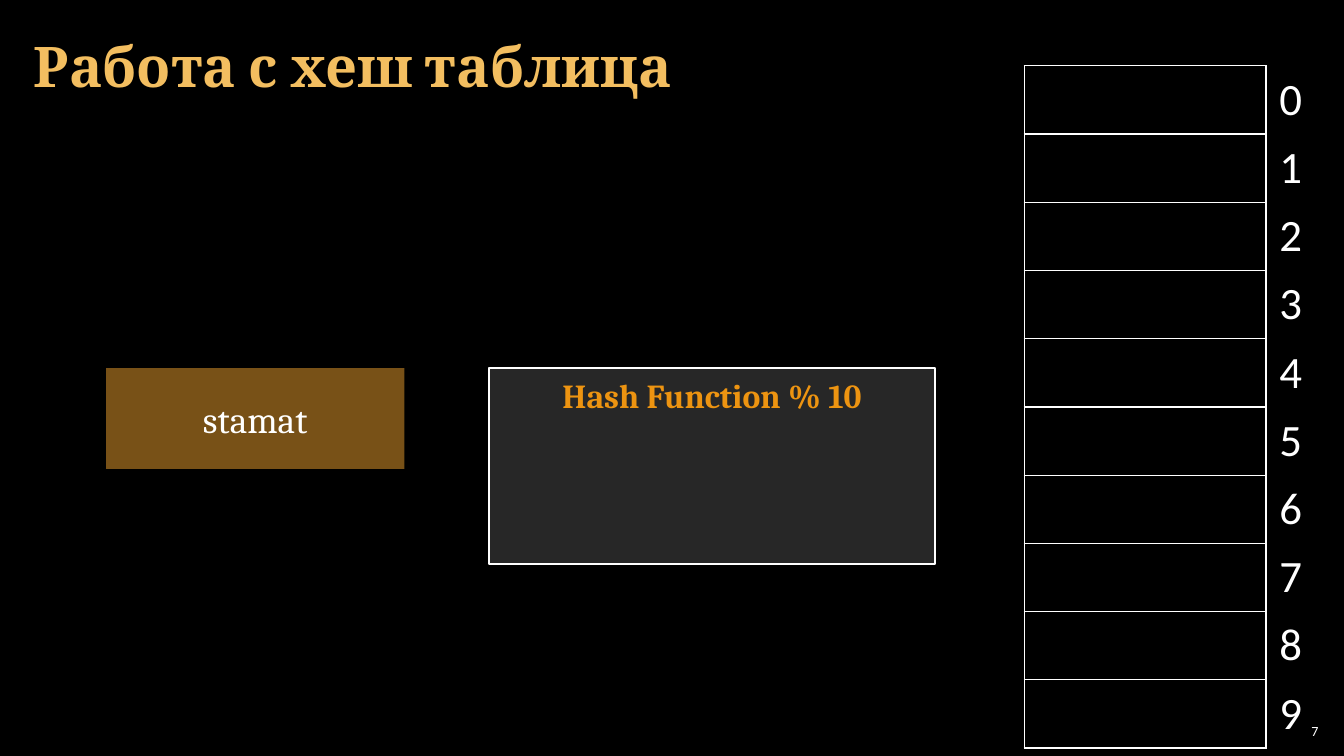
"""Builds the hash table slide: a key, a hash function and ten numbered buckets."""
from typing import NamedTuple, Optional

import lxml.etree
import pptx
import pptx.dml.color
import pptx.enum.shapes
import pptx.enum.text
import pptx.oxml.ns
import pptx.util

PX = pptx.util.Inches(1) // 150
BLACK = pptx.dml.color.RGBColor(0x00, 0x00, 0x00)
WHITE = pptx.dml.color.RGBColor(0xFF, 0xFF, 0xFF)
GOLD = pptx.dml.color.RGBColor(0xF3, 0xBE, 0x60)
AMBER = pptx.dml.color.RGBColor(0xF0, 0xA2, 0x2E)
ORANGE = pptx.dml.color.RGBColor(0xED, 0x94, 0x11)
GRAY = pptx.dml.color.RGBColor(0x27, 0x27, 0x27)

ALIGN = pptx.enum.text.PP_ALIGN
ANCHOR = pptx.enum.text.MSO_ANCHOR
SHAPE = pptx.enum.shapes.MSO_SHAPE

BUCKET_COUNT = 10
BUCKET_HEIGHT = 100
COLUMN_WIDTHS = (360, 84)
INSETS = (20, 10)


class Box(NamedTuple):
    """A position and size in px."""

    left: int
    top: int
    width: int
    height: int

    def emu(self) -> list[int]:
        """Return the four lengths in EMU."""
        return [length * PX for length in self]


class Block(NamedTuple):
    """A filled shape with a centred label."""

    box: Box
    kind: int
    label: str
    size: float
    text_color: pptx.dml.color.RGBColor
    fill: pptx.dml.color.RGBColor
    opacity: int = 100
    line: Optional[pptx.dml.color.RGBColor] = None
    bold: bool = False
    anchor: int = ANCHOR.MIDDLE


BLOCKS = (
    Block(Box(158, 548, 444, 150), SHAPE.FLOWCHART_PROCESS, "stamat", 26.7, WHITE, AMBER, opacity=50),
    Block(Box(728, 548, 663, 292), SHAPE.RECTANGLE, "Hash Function % 10", 24, ORANGE, GRAY,
          line=WHITE, bold=True, anchor=ANCHOR.TOP),
)


def write_text(frame, text: str, *, size: float, color, font: str = "Cambria", bold: bool = False,
               align=ALIGN.LEFT, anchor=ANCHOR.MIDDLE, insets: tuple[int, int] = INSETS) -> None:
    """Put one formatted paragraph into a text frame."""
    frame.word_wrap = True
    frame.auto_size = pptx.enum.text.MSO_AUTO_SIZE.NONE
    frame.vertical_anchor = anchor
    frame.margin_left = frame.margin_right = insets[0] * PX
    frame.margin_top = frame.margin_bottom = insets[1] * PX
    write_paragraph(frame.paragraphs[0], text, size, color, font, bold, align)


def write_paragraph(paragraph, text: str, size: float, color, font: str, bold: bool, align) -> None:
    """Write one run into a paragraph and format it."""
    paragraph.alignment = align
    run = paragraph.add_run()
    run.text = text
    run.font.name = font
    run.font.size = pptx.util.Pt(size)
    run.font.bold = bold
    run.font.color.rgb = color


def draw_block(slide, block: Block) -> None:
    """Draw a filled shape with its label."""
    shape = slide.shapes.add_shape(block.kind, *block.box.emu())
    shape.shadow.inherit = False
    shape.fill.solid()
    shape.fill.fore_color.rgb = block.fill
    if block.opacity < 100:
        color = shape.fill._xPr.find(".//" + pptx.oxml.ns.qn("a:srgbClr"))
        lxml.etree.SubElement(color, pptx.oxml.ns.qn("a:alpha"), val=str(block.opacity * 1000))
    if block.line is None:
        shape.line.fill.background()
    else:
        shape.line.color.rgb = block.line
        shape.line.width = pptx.util.Pt(1.5)
    write_text(shape.text_frame, block.label, size=block.size, color=block.text_color,
               bold=block.bold, align=ALIGN.CENTER, anchor=block.anchor)


def set_borders(cell, visible: str) -> None:
    """Draw white lines on the sides named in visible and hide the others."""
    properties = cell._tc.get_or_add_tcPr()
    for side in "LRTB":
        line = lxml.etree.SubElement(properties, pptx.oxml.ns.qn(f"a:ln{side}"), w=str(pptx.util.Pt(1)))
        if side in visible:
            fill = lxml.etree.SubElement(line, pptx.oxml.ns.qn("a:solidFill"))
            lxml.etree.SubElement(fill, pptx.oxml.ns.qn("a:srgbClr"), val=str(WHITE))
        else:
            lxml.etree.SubElement(line, pptx.oxml.ns.qn("a:noFill"))


def draw_buckets(slide) -> None:
    """Draw the bucket table with an index beside each bucket."""
    box = Box(1524, 98, sum(COLUMN_WIDTHS), BUCKET_COUNT * BUCKET_HEIGHT)
    table = slide.shapes.add_table(BUCKET_COUNT, len(COLUMN_WIDTHS), *box.emu()).table
    table.first_row = table.horz_banding = False
    for column, width in zip(table.columns, COLUMN_WIDTHS):
        column.width = width * PX
    for index in range(BUCKET_COUNT):
        table.rows[index].height = BUCKET_HEIGHT * PX
        bucket, label = table.cell(index, 0), table.cell(index, 1)
        for cell, visible in ((bucket, "LRTB"), (label, "L")):
            set_borders(cell, visible)
            cell.fill.background()
            cell.margin_left = cell.margin_right = INSETS[0] * PX
            cell.margin_top = cell.margin_bottom = INSETS[1] * PX
        write_paragraph(label.text_frame.paragraphs[0], str(index), 32, WHITE, "Calibri", False, ALIGN.LEFT)


def main() -> None:
    """Build and save the slide."""
    presentation = pptx.Presentation()
    presentation.slide_width = 2000 * PX
    presentation.slide_height = 1125 * PX
    slide = presentation.slides.add_slide(presentation.slide_layouts[5])
    slide.background.fill.solid()
    slide.background.fill.fore_color.rgb = BLACK

    title = slide.shapes.title
    title.left, title.top, title.width, title.height = Box(32, 6, 1936, 182).emu()
    write_text(title.text_frame, "Работа с хеш таблица", size=40, color=GOLD, bold=True, insets=(18, 6))

    draw_buckets(slide)
    for block in BLOCKS:
        draw_block(slide, block)

    slide_number = slide.shapes.add_textbox(*Box(1898, 1071, 70, 32).emu())
    write_text(slide_number.text_frame, "7", size=10, color=WHITE, font="Calibri",
               align=ALIGN.RIGHT, insets=(6, 6))
    presentation.save("out.pptx")


if __name__ == "__main__":
    main()
